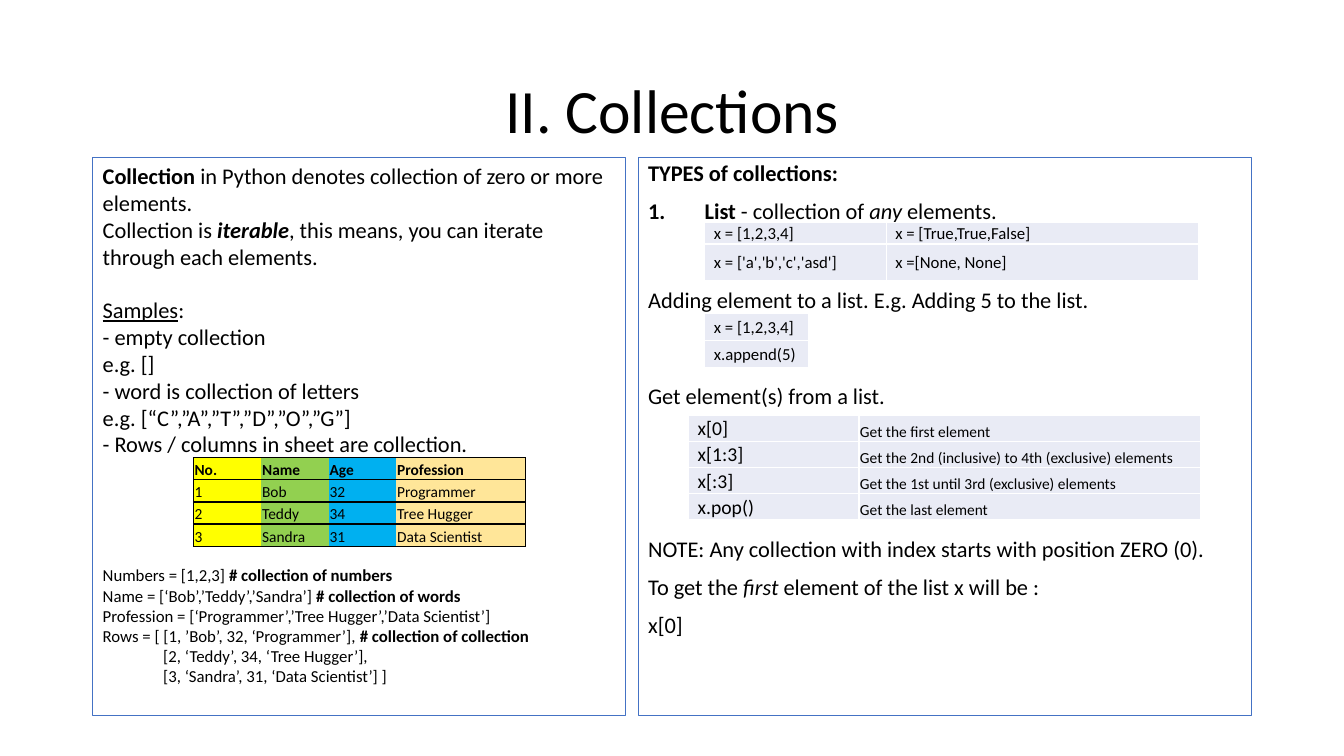
import pptx
import pptx.util
import pptx.dml.color
import pptx.enum.shapes
import pptx.enum.text
from lxml import etree
from pptx.oxml.ns import qn

Inches = pptx.util.Inches
Pt = pptx.util.Pt
RGBColor = pptx.dml.color.RGBColor
ANCHOR = pptx.enum.text.MSO_ANCHOR
ALIGN = pptx.enum.text.PP_ALIGN

BLACK = RGBColor(0x00, 0x00, 0x00)
WHITE = RGBColor(0xFF, 0xFF, 0xFF)
BLUE = RGBColor(0x44, 0x72, 0xC4)
PALE = RGBColor(0xE9, 0xEB, 0xF5)
YELLOW = RGBColor(0xFF, 0xFF, 0x00)
GREEN = RGBColor(0x92, 0xD0, 0x50)
SKY = RGBColor(0x00, 0xB0, 0xF0)
SAND = RGBColor(0xFF, 0xE6, 0x99)
FONT = "Calibri"

INTRO = [
    [("Collection", "b"), (" in Python denotes collection of zero or more elements.", "")],
    [("Collection is ", ""), ("iterable", "bi"),
     (", this means, you can iterate through each elements.", "")],
    [("Samples", "u"), (":", "")],
    [("- empty collection", "")],
    [("e.g. []", "")],
    [("- word is collection of letters", "")],
    [("e.g. [“C”,”A”,”T”,”D”,”O”,”G”]", "")],
    [("- Rows / columns in sheet are collection.", "")],
]
CODE = [
    [("Numbers = [1,2,3] ", ""), ("# collection of numbers", "b")],
    [("Name = [‘Bob’,’Teddy’,’Sandra’] ", ""), ("# collection of words", "b")],
    [("Profession = [‘Programmer’,’Tree Hugger’,’Data Scientist’]", "")],
    [("Rows = [ [1, ’Bob’, 32, ‘Programmer’], ", ""), ("# collection of collection", "b")],
    [("[2, ‘Teddy’, 34, ‘Tree Hugger’],", "")],
    [("[3, ‘Sandra’, 31, ‘Data Scientist’] ]", "")],
]
TYPES = [
    (10, [("TYPES of collections:", "b")]),
    (10, [("List", "b"), (" - collection of ", ""), ("any", "i"), (" elements.", "")]),
    (46, [("Adding element to a list. E.g. Adding 5 to the list.", "")]),
    (51.5, [("Get element(s) from a list.", "")]),
    (92, [("NOTE: Any collection with index starts with position ZERO (0).", "")]),
    (10, [("To get the ", ""), ("first", "i"), (" element of the list x will be :", "")]),
    (10, [("x[0]", "")]),
]
LISTS = [["x = [1,2,3,4]", "x = [True,True,False]"],
         ["x = ['a','b','c','asd']", "x =[None, None]"]]
APPEND = [["x = [1,2,3,4]"], ["x.append(5)"]]
ACCESS = [["x[0]", "Get the first element"],
          ["x[1:3]", "Get the 2nd (inclusive) to 4th (exclusive) elements"],
          ["x[:3]", "Get the 1st until 3rd (exclusive) elements"],
          ["x.pop()", "Get the last element"]]
PEOPLE = [["No.", "Name", "Age", "Profession"],
          ["1", "Bob", "32", "Programmer"],
          ["2", "Teddy", "34", "Tree Hugger"],
          ["3", "Sandra", "31", "Data Scientist"]]


def set_font(p, size):
    p.font.name = FONT
    p.font.size = Pt(size)
    p.font.color.rgb = BLACK


def add_title(s, text):
    tf = s.shapes.add_textbox(Inches(0.92), Inches(0.4), Inches(11.5), Inches(1.45)).text_frame
    tf.word_wrap = True
    tf.vertical_anchor = ANCHOR.MIDDLE
    p = tf.paragraphs[0]
    p.text = text
    p.alignment = ALIGN.CENTER
    p.line_spacing = 0.9
    set_font(p, 44)


def add_panel(s, left, width):
    sp = s.shapes.add_shape(pptx.enum.shapes.MSO_SHAPE.RECTANGLE, Inches(left), Inches(1.56),
                            Inches(width), Inches(5.54))
    sp.shadow.inherit = False
    sp.fill.background()
    sp.line.color.rgb = BLUE
    sp.line.width = Pt(0.75)
    tf = sp.text_frame
    tf.word_wrap = True
    tf.vertical_anchor = ANCHOR.TOP
    return tf


def add_paragraph(tf, runs, size, before=0, spacing=1.0):
    p = tf.paragraphs[0]
    if p.runs:
        p = tf.add_paragraph()
    p.alignment = ALIGN.LEFT
    p.space_before = Pt(before)
    p.line_spacing = spacing
    set_font(p, size)
    for text, style in runs:
        r = p.add_run()
        r.text = text
        if "b" in style:
            r.font.bold = True
        if "i" in style:
            r.font.italic = True
        if "u" in style:
            r.font.underline = True
    return p


def indent(p, left, first=0):
    pPr = p._p.get_or_add_pPr()
    pPr.set("marL", str(Inches(left)))
    pPr.set("indent", str(Inches(first)))
    return pPr


def number(p):
    pPr = indent(p, 0.56, -0.56)
    bullet = etree.Element(qn("a:buAutoNum"), type="arabicPeriod")
    pPr.find(qn("a:defRPr")).addprevious(bullet)


def set_borders(cell, colors):
    tcPr = cell._tc.get_or_add_tcPr()
    for i, (side, color) in enumerate(zip("LRTB", colors)):
        ln = etree.Element(qn(f"a:ln{side}"), w=str(Pt(1)))
        if color is None:
            etree.SubElement(ln, qn("a:noFill"))
        else:
            fill = etree.SubElement(ln, qn("a:solidFill"))
            etree.SubElement(fill, qn("a:srgbClr"), val=str(color))
        tcPr.insert(i, ln)


def add_table(s, left, top, widths, heights, rows, columns, grid=True):
    table = s.shapes.add_table(len(rows), len(widths), Inches(left), Inches(top),
                               Inches(sum(widths)), Inches(sum(heights))).table
    table.first_row = not grid
    table.horz_banding = False
    for column, width in zip(table.columns, widths):
        column.width = Inches(width)
    for row, height in zip(table.rows, heights):
        row.height = Inches(height)
    last = len(widths) - 1
    for i, values in enumerate(rows):
        for j, (value, (size, inset, anchor, fill)) in enumerate(zip(values, columns)):
            cell = table.cell(i, j)
            cell.margin_left = Inches(inset)
            cell.margin_right = cell.margin_top = Inches(0.01)
            cell.margin_bottom = 0
            cell.vertical_anchor = anchor
            cell.fill.solid()
            cell.fill.fore_color.rgb = fill
            p = cell.text_frame.paragraphs[0]
            p.text = value
            set_font(p, size)
            p.font.bold = not grid and i == 0
            if grid:
                set_borders(cell, [WHITE] * 4)
            else:
                set_borders(cell, [BLACK if j == 0 else None,
                                   BLACK if j == last else None, BLACK, BLACK])


def add_types(s):
    tf = add_panel(s, 6.33, 6.08)
    paragraphs = [add_paragraph(tf, runs, 16, before, 0.9) for before, runs in TYPES]
    number(paragraphs[1])


def add_intro(s):
    tf = add_panel(s, 0.92, 5.28)
    for i, runs in enumerate(INTRO):
        add_paragraph(tf, runs, 16, 19 if i == 2 else 0)
    code = [add_paragraph(tf, runs, 12, 0 if i else 77) for i, runs in enumerate(CODE)]
    for p in code[-2:]:
        indent(p, 0.6)


def main():
    prs = pptx.Presentation()
    prs.slide_width = Inches(13.33)
    prs.slide_height = Inches(7.5)
    s = prs.slides.add_slide(prs.slide_layouts[6])
    snippet = (12, 0.09, ANCHOR.MIDDLE, PALE)
    call = (14, 0.09, ANCHOR.MIDDLE, PALE)
    meaning = (11, 0.01, ANCHOR.BOTTOM, PALE)
    people = [(11, 0.01, ANCHOR.BOTTOM, fill) for fill in (YELLOW, GREEN, SKY, SAND)]
    add_title(s, "II. Collections")
    add_types(s)
    add_table(s, 6.99, 2.21, [1.8, 3.1], [0.2, 0.36], LISTS, [snippet] * 2)
    add_table(s, 6.99, 3.11, [1.03], [0.27] * 2, APPEND, [snippet])
    add_intro(s)
    add_table(s, 6.83, 4.12, [1.69, 3.39], [0.26] * 4, ACCESS, [call, meaning])
    add_table(s, 1.92, 4.54, [0.67] * 3 + [1.28], [0.22] * 4, PEOPLE, people, grid=False)
    prs.save("out.pptx")


if __name__ == "__main__":
    main()
